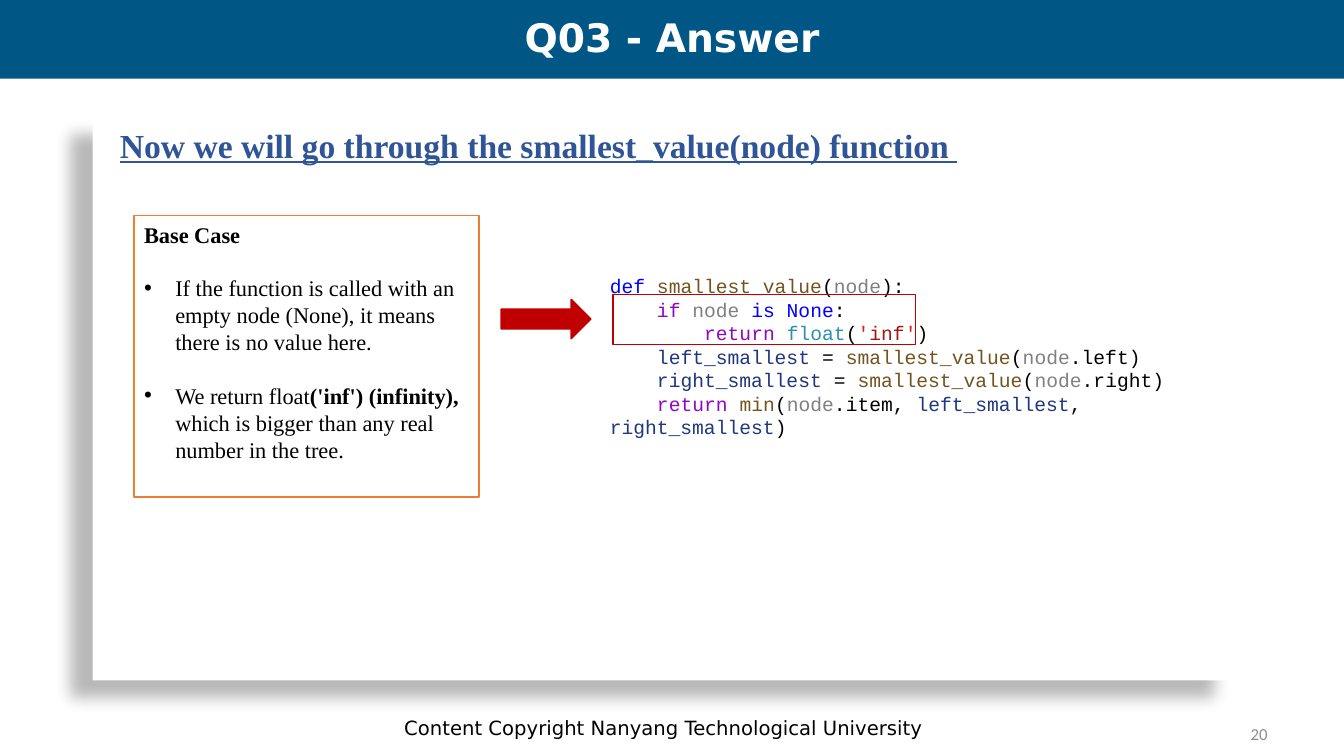
from dataclasses import dataclass
from typing import Optional

from lxml import etree
from pptx import Presentation
from pptx.dml import color
from pptx.enum import shapes, text
from pptx.oxml import ns
from pptx.util import Inches, Pt

COLORS = {
    "white": "FFFFFF", "black": "000000", "banner": "005684", "heading": "2F5597",
    "number": "8C8C8C", "orange": "ED7D31", "red": "C00000",
    "keyword": "0000FF", "control": "8F08C4", "function": "74531F",
    "parameter": "808080", "type": "2B91AF", "quote": "E21F1F",
    "string": "A31515", "variable": "1F377F",
}
SANS, SERIF, MONO, BODY = "DejaVu Sans", "Times New Roman", "Courier New", "Calibri"
LEFT, CENTER, RIGHT = text.PP_ALIGN.LEFT, text.PP_ALIGN.CENTER, text.PP_ALIGN.RIGHT
TOP, MIDDLE = text.MSO_ANCHOR.TOP, text.MSO_ANCHOR.MIDDLE


@dataclass
class Span:
    words: str
    color: str = "black"
    bold: bool = False
    underline: bool = False


@dataclass
class Para:
    spans: list[Span]
    bullet: bool = False
    before: float = 0


@dataclass
class Block:
    at: tuple[float, float, float, float]
    paras: list[Para]
    size: float
    font: str
    align: text.PP_ALIGN = LEFT
    anchor: text.MSO_ANCHOR = TOP
    line_spacing: Optional[float] = None


@dataclass
class Figure:
    at: tuple[float, float, float, float]
    kind: shapes.MSO_SHAPE = shapes.MSO_SHAPE.RECTANGLE
    fill: Optional[str] = None
    line: Optional[str] = None


def rgb(name: str) -> color.RGBColor:
    return color.RGBColor.from_string(COLORS[name])


def draw_figure(page, figure: Figure):
    shape = page.shapes.add_shape(figure.kind, *map(Inches, figure.at))
    shape.shadow.inherit = False
    if figure.fill:
        shape.fill.solid()
        shape.fill.fore_color.rgb = rgb(figure.fill)
    else:
        shape.fill.background()
    if figure.line:
        shape.line.color.rgb = rgb(figure.line)
        shape.line.width = Pt(1)
    else:
        shape.line.fill.background()
    return shape


def add_shadow(shape) -> None:
    effects = shape._element.spPr.find(ns.qn("a:effectLst"))
    shadow = etree.SubElement(
        effects, ns.qn("a:outerShdw"), blurRad=str(Pt(11.8)), dist=str(Pt(19.7)),
        dir=str(141 * 60000), algn="tr", rotWithShape="0")
    tint = etree.SubElement(shadow, ns.qn("a:srgbClr"), val=COLORS["black"])
    etree.SubElement(tint, ns.qn("a:alpha"), val="28000")


def add_bullet(para) -> None:
    props = para._p.get_or_add_pPr()
    props.set("marL", str(Inches(0.31)))
    props.set("indent", str(Inches(-0.31)))
    etree.SubElement(props, ns.qn("a:buFont"), typeface="Arial")
    etree.SubElement(props, ns.qn("a:buChar"), char="•")


def draw_block(page, block: Block) -> None:
    box = page.shapes.add_textbox(*map(Inches, block.at))
    frame = box.text_frame
    frame.word_wrap = True
    frame.vertical_anchor = block.anchor
    for index, item in enumerate(block.paras):
        para = frame.paragraphs[0] if index == 0 else frame.add_paragraph()
        para.alignment = block.align
        if block.line_spacing:
            para.line_spacing = block.line_spacing
        if item.before:
            para.space_before = Pt(item.before)
        if item.bullet:
            add_bullet(para)
        for span in item.spans:
            run = para.add_run()
            run.text = span.words
            run.font.name = block.font
            run.font.size = Pt(block.size)
            run.font.bold = span.bold
            run.font.underline = span.underline
            run.font.color.rgb = rgb(span.color)


NODE = Span("node", "parameter")
OPEN, CLOSE, EQUALS = Span("("), Span(")"), Span(" = ")
INDENT = Span("    ")
RETURN = Span("return ", "control")
SMALLEST = Span("smallest_value", "function")
LEFT_VALUE = Span("left_smallest", "variable")
RIGHT_VALUE = Span("right_smallest", "variable")
QUOTE = Span("'", "quote")

CODE = [
    [Span("def ", "keyword"), SMALLEST, OPEN, NODE, Span("):")],
    [INDENT, Span("if ", "control"), NODE, Span(" "), Span("is None", "keyword"), Span(":")],
    [INDENT, INDENT, RETURN, Span("float", "type"), OPEN,
     QUOTE, Span("inf", "string"), QUOTE, CLOSE],
    [INDENT, LEFT_VALUE, EQUALS, SMALLEST, OPEN, NODE, Span(".left)")],
    [INDENT, RIGHT_VALUE, EQUALS, SMALLEST, OPEN, NODE, Span(".right)")],
    [INDENT, RETURN, Span("min", "function"), OPEN, NODE, Span(".item, "),
     LEFT_VALUE, Span(", "), RIGHT_VALUE, CLOSE],
]

BASE_CASE = [
    Para([Span("Base Case", bold=True)]),
    Para([Span("If the function is called with an empty node (None), "
               "it means there is no value here.")], bullet=True, before=19.2),
    Para([Span("We return float"), Span("('inf') (infinity), ", bold=True),
          Span("which is bigger than any real number in the tree.")],
         bullet=True, before=19.2),
]

BLOCKS = [
    Block((1.79, 7.02, 9.58, 0.4),
          [Para([Span("Content Copyright Nanyang Technological University")])],
          14, SANS, CENTER, MIDDLE),
    Block((9.56, 7.08, 3.11, 0.4), [Para([Span("20", "number")])], 12, BODY, RIGHT, MIDDLE),
    Block((5.95, 2.67, 6.67, 1.51), [Para(line) for line in CODE], 14, MONO),
    Block((0, 0.04, 13.33, 0.71), [Para([Span("Q03 - Answer", "white", True)])],
          28, SANS, CENTER, MIDDLE, 0.9),
    Block((1.09, 1.19, 10.83, 0.5),
          [Para([Span("Now we will go through the smallest_value(node) function ",
                      "heading", True, True)])], 24, SERIF),
    Block((1.33, 2.14, 3.42, 2.79), BASE_CASE, 16, SERIF),
]


def main() -> None:
    deck = Presentation()
    deck.slide_width, deck.slide_height = Inches(13.33), Inches(7.5)
    page = deck.slides.add_slide(deck.slide_layouts[6])

    # Content panel and title banner
    add_shadow(draw_figure(page, Figure((0.92, 1.17, 11.33, 5.58), fill="white")))
    draw_figure(page, Figure((0, 0, 13.33, 0.78), fill="banner"))

    # Title, heading, explanation, code and footer
    for block in BLOCKS:
        draw_block(page, block)

    # Explanation frame, code highlight and the arrow between them
    for figure in (
        Figure((1.33, 2.14, 3.42, 2.79), line="orange"),
        Figure((6.08, 2.92, 3, 0.5), line="red"),
        Figure((4.97, 2.97, 0.89, 0.39), shapes.MSO_SHAPE.RIGHT_ARROW, "red", "red"),
    ):
        draw_figure(page, figure)

    deck.save("out.pptx")


if __name__ == "__main__":
    main()
